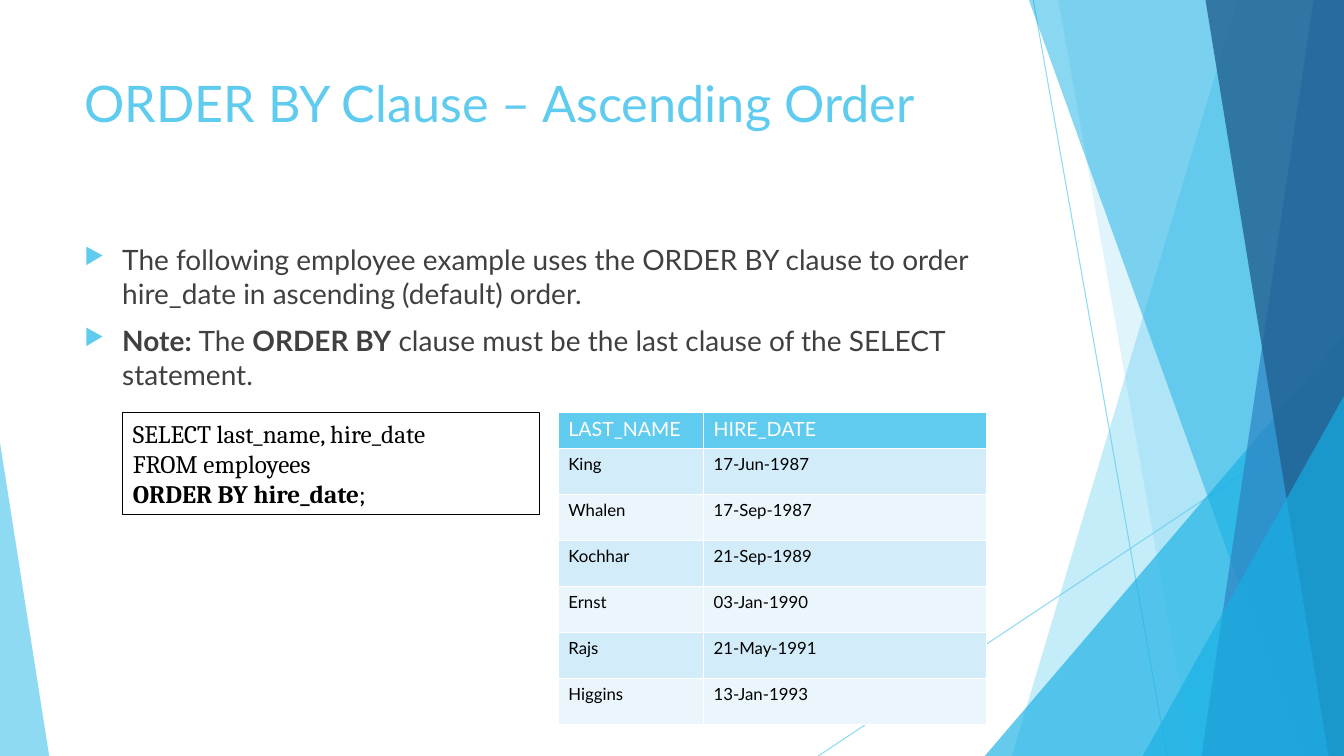
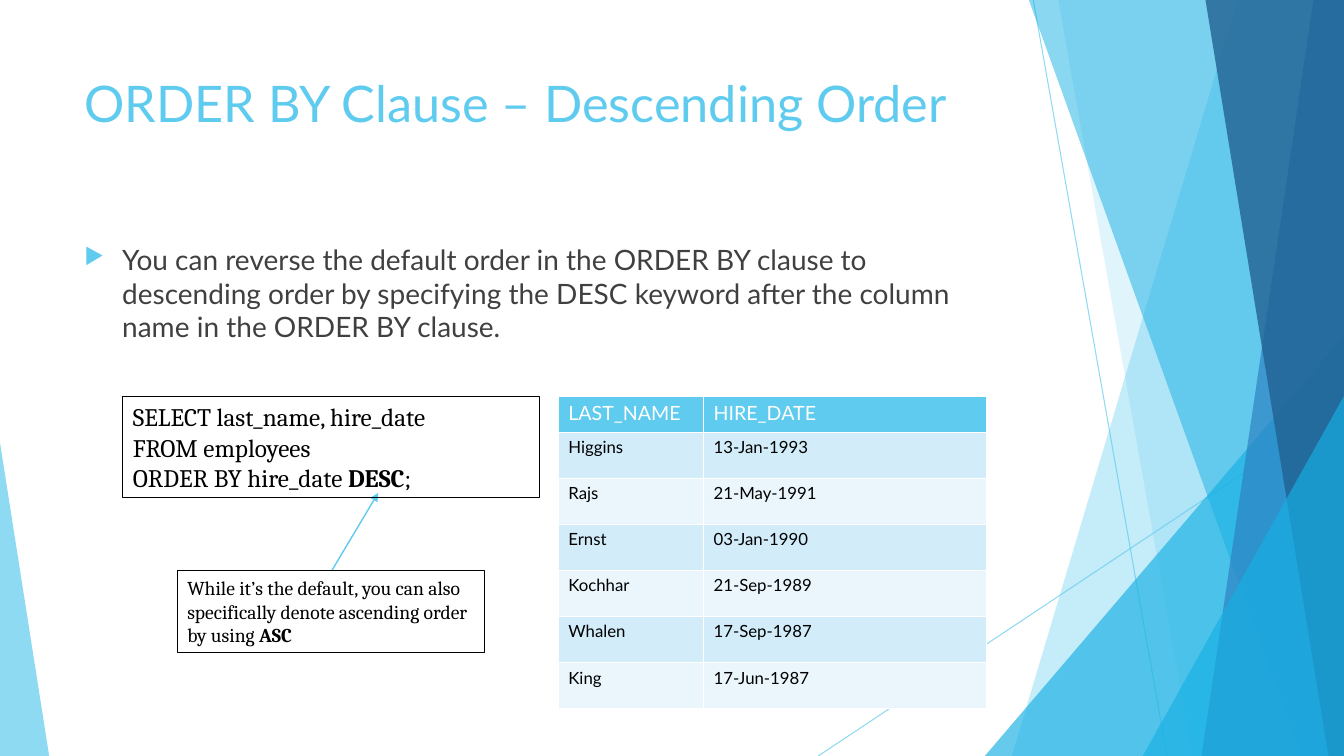
import pptx
import pptx.util
import pptx.dml.color
import pptx.enum.shapes
import pptx.enum.text
import pptx.oxml.ns
from lxml import etree

Cm, Pt = pptx.util.Cm, pptx.util.Pt
RGB = pptx.dml.color.RGBColor.from_string
qn = pptx.oxml.ns.qn
SHAPE = pptx.enum.shapes.MSO_SHAPE
WIRE = pptx.enum.shapes.MSO_CONNECTOR.STRAIGHT
ALIGN = pptx.enum.text.PP_ALIGN.LEFT
HUES = {
    "sky": "5FCBEF", "cyan": "17B0E4", "blue": "2E83C3", "navy": "226292",
    "grey": "404040", "black": "000000", "white": "FFFFFF",
    "dark": "D2ECF9", "light": "EAF6FC",
}
WIDE, HIGH = 33.87, 19.05

WIRES = [(26.04, 0, 29.41, HIGH), (WIDE, 10.24, 20.62, HIGH)]
DECOR = [
    ("band", "sky", 36, (31.19, 25.5)),
    ("band", "sky", 20, (26.67, 30.05)),
    ("peak", "cyan", 66, (24.82, 8.46, WIDE, 1)),
    ("band", "cyan", 50, (25.93, 32.79)),
    ("band", "blue", 70, (33.1, 30.28)),
    ("band", "navy", 80, (30.38, 33.48)),
    ("peak", "cyan", 66, (28.8, 9.98, WIDE, 1)),
    ("peak", "sky", 70, (0, 11.15, 1.24, 0)),
]
HEAD = ("LAST_NAME", "HIRE_DATE")
STAFF = [
    ("King", "17-Jun-1987"), ("Whalen", "17-Sep-1987"),
    ("Kochhar", "21-Sep-1989"), ("Ernst", "03-Jan-1990"),
    ("Rajs", "21-May-1991"), ("Higgins", "13-Jan-1993"),
]
QUERY = ["SELECT last_name, hire_date", "FROM employees"]
PAGES = [
    {
        "title": "ORDER BY Clause – Ascending Order",
        "body": [
            "The following employee example uses the ORDER BY clause to order "
            "hire_date in ascending (default) order.",
            "**Note: **The **ORDER BY** clause must be the last clause of the "
            "SELECT statement.",
        ],
        "top": 10.39,
        "code": QUERY + ["**ORDER BY hire_date**;"],
        "rows": STAFF,
        "note": None,
    },
    {
        "title": "ORDER BY Clause – Descending Order",
        "body": [
            "You can reverse the default order in the ORDER BY clause to "
            "descending order by specifying the DESC keyword after the column "
            "name in the ORDER BY clause.",
        ],
        "top": 9.98,
        "code": QUERY + ["ORDER BY hire_date **DESC**;"],
        "rows": STAFF[::-1],
        "note": ["While it’s the default, you can also specifically denote "
                 "ascending order by using **ASC**"],
    },
]


def write(frame, lines, size=18, hue="black", font="Lato", bullet=False):
    frame.word_wrap = True
    for i, line in enumerate(lines):
        para = frame.add_paragraph() if i else frame.paragraphs[0]
        para.alignment = ALIGN
        for j, part in enumerate(line.split("**")):
            if part:
                run = para.add_run()
                run.text = part
                run.font.name = font
                run.font.size = Pt(size)
                run.font.bold = j % 2 == 1
                run.font.color.rgb = RGB(HUES[hue])
        if bullet:
            para.space_before = Pt(10)
            props = para._p.get_or_add_pPr()
            props.set("marL", str(Cm(0.95)))
            props.set("indent", str(-Cm(0.95)))
            tint = etree.SubElement(props, qn("a:buClr"))
            etree.SubElement(tint, qn("a:srgbClr"), val=HUES["sky"])
            etree.SubElement(props, qn("a:buSzPct"), val="80000")
            etree.SubElement(props, qn("a:buChar"), char="▶")


def paint(shape, fill, hue, alpha=100):
    fill.solid()
    fill.fore_color.rgb = RGB(HUES[hue])
    props = shape._element.spPr
    if alpha < 100:
        tint = props.xpath(".//a:srgbClr")[0]
        etree.SubElement(tint, qn("a:alpha"), val=str(alpha * 1000))
    etree.SubElement(props, qn("a:effectLst"))


deck = pptx.Presentation()
deck.slide_width, deck.slide_height = Cm(WIDE), Cm(HIGH)

for page in PAGES:
    shapes = deck.slides.add_slide(deck.slide_layouts[6]).shapes

    for ends in WIRES:
        wire = shapes.add_connector(WIRE, *map(Cm, ends))
        wire.line.width = Pt(0.75)
        paint(wire, wire.line.fill, "sky", 70)

    for kind, hue, alpha, spot in DECOR:
        if kind == "band":
            top, base = spot
            pen = shapes.build_freeform(Cm(top), 0)
            pen.add_line_segments([
                (Cm(WIDE), 0), (Cm(WIDE), Cm(HIGH)), (Cm(base), Cm(HIGH))])
            item = pen.convert_to_shape()
        else:
            left, top, right, tip = spot
            item = shapes.add_shape(
                SHAPE.ISOSCELES_TRIANGLE,
                Cm(left), Cm(top), Cm(right - left), Cm(HIGH - top))
            item.adjustments[0] = tip
        item.line.fill.background()
        paint(item, item.fill, hue, alpha)

    title = shapes.add_textbox(Cm(1.88), Cm(1.7), Cm(23.88), Cm(3.66))
    write(title.text_frame, [page["title"]], size=36, hue="sky")
    body = shapes.add_textbox(Cm(1.88), Cm(5.99), Cm(23.88), Cm(4.39))
    write(body.text_frame, page["body"], size=20, hue="grey", bullet=True)

    top = page["top"]
    rows = [HEAD] + page["rows"]
    grid = shapes.add_table(
        len(rows), 2, Cm(14.07), Cm(top), Cm(10.8), Cm(7.87)).table
    grid.columns[0].width, grid.columns[1].width = Cm(3.66), Cm(7.14)
    for i, row in enumerate(rows):
        grid.rows[i].height = Cm(1.16 if i else 0.91)
        back = ("dark" if i % 2 else "light") if i else "sky"
        for j, word in enumerate(row):
            cell = grid.cell(i, j)
            cell.fill.solid()
            cell.fill.fore_color.rgb = RGB(HUES[back])
            write(cell.text_frame, [word], size=12 if i else 14,
                  hue="black" if i else "white")

    boxes = [(page["code"], 18, (3.1, top, 10.49, 2.57))]
    if page["note"]:
        boxes.append((page["note"], 14, (4.47, 14.38, 7.75, 2.06)))
        arrow = shapes.add_connector(
            WIRE, Cm(8.36), Cm(14.38), Cm(9.53), Cm(12.42))
        arrow.line.width = Pt(1)
        paint(arrow, arrow.line.fill, "sky")
        edge = arrow._element.spPr.find(qn("a:ln"))
        etree.SubElement(edge, qn("a:tailEnd"), type="triangle")

    for lines, size, spot in boxes:
        box = shapes.add_shape(SHAPE.RECTANGLE, *map(Cm, spot))
        box.shadow.inherit = False
        box.fill.background()
        box.line.width = Pt(0.75)
        box.line.color.rgb = RGB(HUES["black"])
        write(box.text_frame, lines, size=size, font="Cambria")

deck.save("out.pptx")
